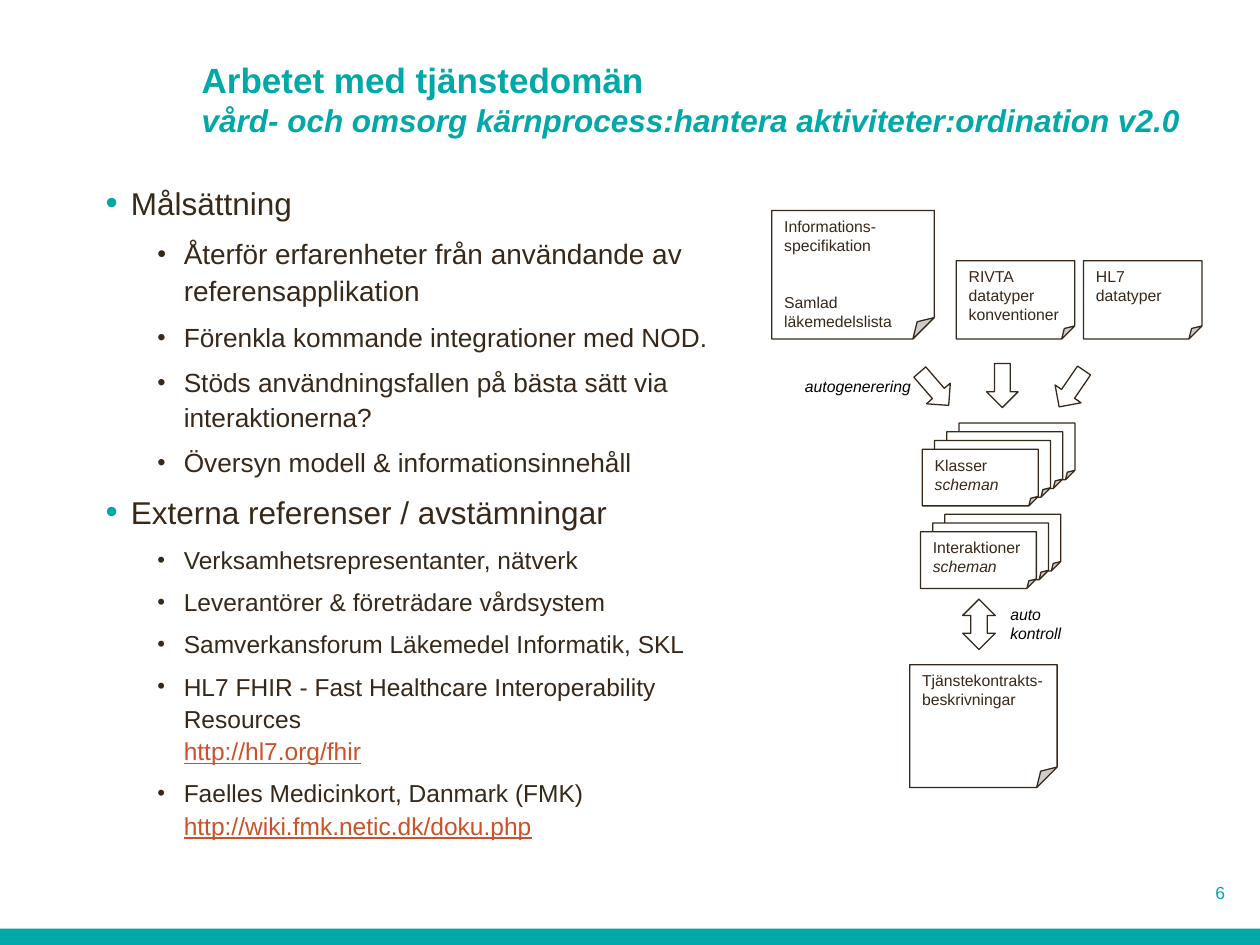
from dataclasses import dataclass

from lxml.etree import SubElement
from pptx import Presentation
from pptx.dml.color import RGBColor
from pptx.enum.shapes import MSO_SHAPE
from pptx.enum.text import MSO_ANCHOR, MSO_AUTO_SIZE, PP_ALIGN
from pptx.oxml.ns import qn
from pptx.util import Inches, Pt


@dataclass(frozen=True)
class Theme:
    font: str = "Arial"
    teal: str = "00A9A7"
    brown: str = "382819"
    link: str = "CE5028"
    black: str = "000000"
    white: str = "FFFFFF"
    title: int = 20
    heading: int = 18
    note: int = 9
    number: int = 10
    line: float = 0.75


THEME = Theme()
COLS, ROWS = 100, 75  # square grid cells, a tenth of an inch each
STEP_X, STEP_Y = 0.97, 0.69  # offset between sheets in a stack

# (level, size, text, link)
BODY = [
    (0, 18, "Målsättning", None),
    (1, 16, "Återför erfarenheter från användande av referensapplikation", None),
    (1, 15, "Förenkla kommande integrationer med NOD.", None),
    (1, 15, "Stöds användningsfallen på bästa sätt via interaktionerna?", None),
    (1, 15, "Översyn modell & informationsinnehåll", None),
    (0, 18, "Externa referenser / avstämningar", None),
    (1, 14, "Verksamhetsrepresentanter, nätverk", None),
    (1, 14, "Leverantörer & företrädare vårdsystem", None),
    (1, 14, "Samverkansforum Läkemedel Informatik, SKL", None),
    (1, 14, "HL7 FHIR - Fast Healthcare Interoperability Resources",
     "http://hl7.org/fhir"),
    (1, 14, "Faelles Medicinkort, Danmark (FMK)",
     "http://wiki.fmk.netic.dk/doku.php"),
]

# Bullet look per level: left margin, hanging indent, size, colour
BULLETS = [(0.2, 0.2, 110, THEME.teal), (0.62, 0.21, 90, THEME.brown)]

# Documents: text and grid cell (column, row, width, height)
DOCUMENTS = [
    ("Informations-specifikation\v\vSamlad läkemedelslista", (61.25, 16.7, 12.9, 10.2)),
    ("RIVTA\vdatatyper\vkonventioner", (75.9, 20.7, 9.4, 6.2)),
    ("HL7\vdatatyper", (86, 20.7, 9.4, 6.2)),
    ("Tjänstekontrakts-\vbeskrivningar", (72.2, 52.75, 11.7, 9.75)),
]

# Stacks: name, front sheet column and row, number of sheets
STACKS = [("Klasser", 73.2, 35.65, 4), ("Interaktioner", 73.05, 42.2, 3)]

# Arrows: preset, grid cell, rotation
ARROWS = [
    (MSO_SHAPE.DOWN_ARROW, (72.9, 29.1, 2.5, 3.5), 319.1),
    (MSO_SHAPE.DOWN_ARROW, (78.3, 28.85, 2.5, 3.5), 0),
    (MSO_SHAPE.DOWN_ARROW, (83.8, 29.1, 2.5, 3.5), 34.4),
    (MSO_SHAPE.LEFT_RIGHT_ARROW, (75.7, 48.25, 4, 2.6), 270),
]

LABELS = [
    ("autogenerering", (62.9, 29.4, 10.9, 2.5)),
    ("auto\vkontroll", (79.2, 47.5, 6.8, 4)),
]


def cell(col, row, width, height):
    """Turn grid columns and rows into slide lengths."""
    return (Inches(col * 10 / COLS), Inches(row * 7.5 / ROWS),
            Inches(width * 10 / COLS), Inches(height * 7.5 / ROWS))


def style(r, size, color, bold=False, italic=False, underline=False):
    r.font.name = THEME.font
    r.font.size = Pt(size)
    r.font.color.rgb = RGBColor.from_string(color)
    r.font.bold, r.font.italic, r.font.underline = bold, italic, underline


def add_text(s, place, text, size, color, italic=False, align=PP_ALIGN.LEFT):
    tf = s.shapes.add_textbox(*cell(*place)).text_frame
    tf.word_wrap = True
    p = tf.paragraphs[0]
    p.text = text
    p.alignment = align
    for r in p.runs:
        style(r, size, color, italic=italic)


def add_shape(s, preset, place, fill=None, line=THEME.brown):
    sp = s.shapes.add_shape(preset, *cell(*place))
    sp.shadow.inherit = False
    if fill:
        sp.fill.solid()
        sp.fill.fore_color.rgb = RGBColor.from_string(fill)
    else:
        sp.fill.background()
    if line:
        sp.line.color.rgb = RGBColor.from_string(line)
        sp.line.width = Pt(THEME.line)
    else:
        sp.line.fill.background()
    return sp


def add_document(s, place, text=""):
    sp = add_shape(s, MSO_SHAPE.FOLDED_CORNER, place, THEME.white)
    if text:
        tf = sp.text_frame
        tf.word_wrap = True
        tf.vertical_anchor = MSO_ANCHOR.TOP
        p = tf.paragraphs[0]
        p.text = text
        p.alignment = PP_ALIGN.LEFT
        for r in p.runs:
            style(r, THEME.note, THEME.brown, italic=r.text == "scheman")


def add_stack(s, name, col, row, count):
    """Draw sheets from back to front; only the front one has text."""
    for i in reversed(range(count)):
        place = (col + i * STEP_X, row - i * STEP_Y, 9.2, 4.5)
        add_document(s, place, "" if i else name + "\vscheman")


def add_bullet(p, level):
    margin, hang, size, color = BULLETS[level]
    p.level = level
    pPr = p._p.get_or_add_pPr()
    pPr.set("marL", str(Inches(margin)))
    pPr.set("indent", str(-Inches(hang)))
    SubElement(SubElement(pPr, qn("a:buClr")), qn("a:srgbClr"), val=color)
    SubElement(pPr, qn("a:buSzPct"), val=str(size * 1000))
    SubElement(pPr, qn("a:buFont"), typeface=THEME.font)
    SubElement(pPr, qn("a:buChar"), char="•")


def add_body(s):
    tf = s.shapes.add_textbox(*cell(7.4, 13.8, 54.9, 57.1)).text_frame
    tf.word_wrap = True
    for i, (level, size, text, link) in enumerate(BODY):
        p = tf.add_paragraph() if i else tf.paragraphs[0]
        p.text = f"{text}\v{link}" if link else text
        add_bullet(p, level)
        p.line_spacing = 1.1
        p.space_before = Pt(0.2 * size if i else 0)
        p.space_after = Pt(0.2 * size)
        for r in p.runs:
            is_link = r.text == link
            style(r, size, THEME.link if is_link else THEME.brown, underline=is_link)


def set_title(s):
    sp = s.shapes.title
    sp.left, sp.top, sp.width, sp.height = cell(15, 1.7, 80.4, 9.8)
    tf = sp.text_frame
    tf.word_wrap = True
    tf.auto_size = MSO_AUTO_SIZE.NONE
    tf.vertical_anchor = MSO_ANCHOR.BOTTOM
    p = tf.paragraphs[0]
    p.text = ("Arbetet med tjänstedomän\v"
              "vård- och omsorg kärnprocess:hantera aktiviteter:ordination v2.0")
    p.alignment = PP_ALIGN.LEFT
    name, domain = p.runs
    style(name, THEME.title, THEME.teal, bold=True)
    style(domain, THEME.heading, THEME.teal, bold=True, italic=True)


def main():
    prs = Presentation()
    prs.slide_width, prs.slide_height = Inches(10), Inches(7.5)
    s = prs.slides.add_slide(prs.slide_layouts[5])

    # Footer band, title, bullets and page number
    add_shape(s, MSO_SHAPE.RECTANGLE, (0, 73.7, 100, 1.3), THEME.teal, None)
    set_title(s)
    add_body(s)
    add_text(s, (91.4, 69.5, 6.8, 2.4), "6", THEME.number, THEME.teal,
             align=PP_ALIGN.RIGHT)

    # Flow from specifications to service contracts
    for text, place in DOCUMENTS:
        add_document(s, place, text)
    for stack in STACKS:
        add_stack(s, *stack)
    for preset, place, rotation in ARROWS:
        add_shape(s, preset, place).rotation = rotation
    for text, place in LABELS:
        add_text(s, place, text, THEME.note, THEME.black, italic=True)

    prs.save("out.pptx")


if __name__ == "__main__":
    main()
